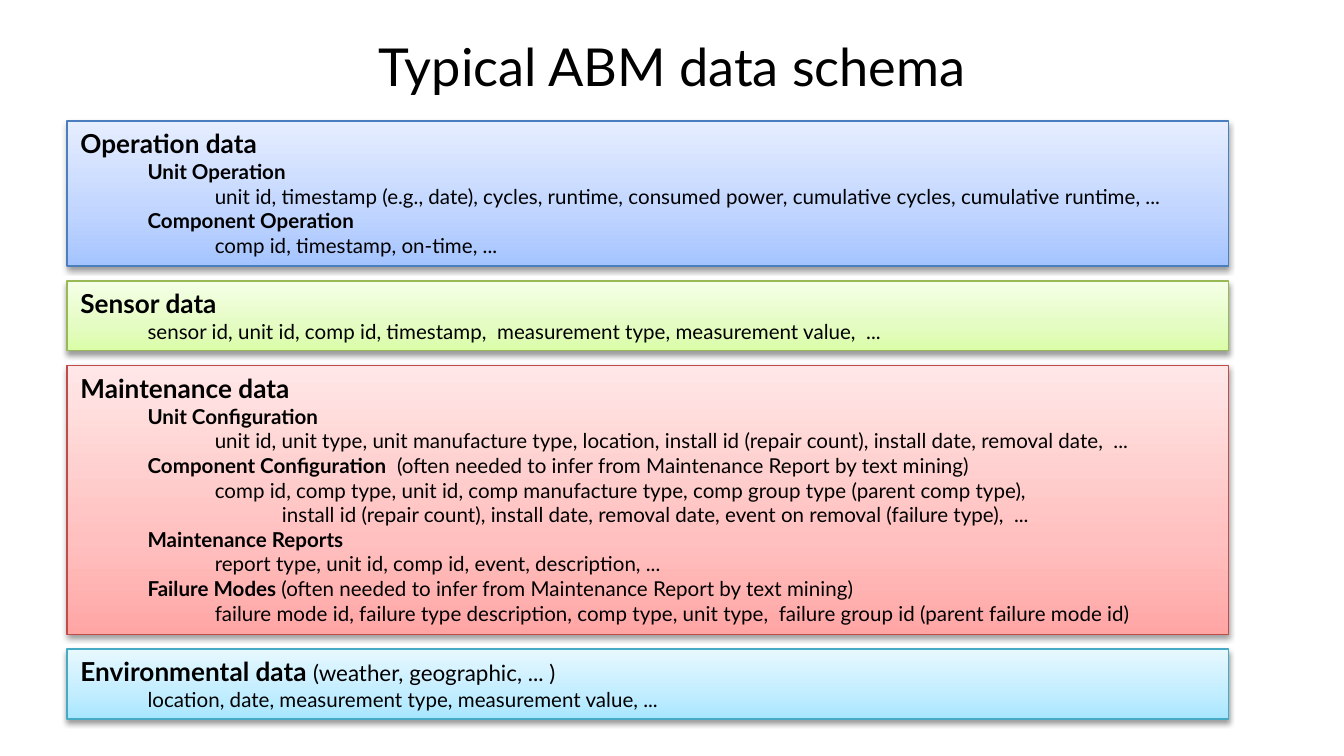
from typing import NamedTuple

from lxml import etree
from pptx import Presentation
from pptx import util as u
from pptx.dml.color import RGBColor
from pptx.enum import shapes, text
from pptx.oxml.ns import qn

FONT = "Lato"
SLIDE_WIDTH = 10
SLIDE_HEIGHT = SLIDE_WIDTH * 9 / 16
LEFT, WIDTH = 0.5, 8.64
INDENT = 0.5  # inches per outline level
STOPS = (0, 35, 100)  # gradient positions, percent


class Run(NamedTuple):
    words: str
    bold: bool = False
    size: float = 11


class Line(NamedTuple):
    level: int
    runs: tuple[Run, ...]


class Panel(NamedTuple):
    top: float
    height: float
    border: str
    gradient: tuple[str, str, str]
    lines: tuple[Line, ...]


def color(value: str) -> RGBColor:
    return RGBColor.from_string(value)


def heading(words: str, note: str = "") -> Line:
    runs = (Run(words, True, 14),)
    return Line(0, runs + (Run(note, size=12),) if note else runs)


def group(words: str, note: str = "") -> Line:
    runs = (Run(words, True),)
    return Line(1, runs + (Run(note),) if note else runs)


def fields(words: str, level: int = 2) -> Line:
    return Line(level, (Run(words),))


MINING = "(often needed to infer from Maintenance Report by text mining)"

PANELS = (
    Panel(0.9, 1.08, "4B7EBC", ("A4C4FF", "BFD4FF", "E6EEFF"), (
        heading("Operation data"),
        group("Unit Operation"),
        fields("unit id, timestamp (e.g., date), cycles, runtime, consumed power, "
               "cumulative cycles, cumulative runtime, ..."),
        group("Component Operation"),
        fields("comp id, timestamp, on-time, ..."),
    )),
    Panel(2.09, 0.52, "98B955", ("DAFDA7", "E4FCC2", "F5FFE7"), (
        heading("Sensor data"),
        fields("sensor id, unit id, comp id, timestamp,  measurement type, "
               "measurement value,  ...", level=1),
    )),
    Panel(2.72, 2, "BF4C48", ("FFA6A5", "FFC0BF", "FFE7E7"), (
        heading("Maintenance data"),
        group("Unit Configuration"),
        fields("unit id, unit type, unit manufacture type, location, "
               "install id (repair count), install date, removal date,  ..."),
        group("Component Configuration", "  " + MINING),
        fields("comp id, comp type, unit id, comp manufacture type, "
               "comp group type (parent comp type),"),
        fields("install id (repair count), install date, removal date, "
               "event on removal (failure type),  ...", level=3),
        group("Maintenance Reports"),
        fields("report type, unit id, comp id, event, description, ..."),
        group("Failure Modes ", MINING),
        fields("failure mode id, failure type description, comp type, unit type,  "
               "failure group id (parent failure mode id)"),
    )),
    Panel(4.83, 0.52, "46AAC5", ("A7E6FF", "C1EDFF", "E7F8FF"), (
        heading("Environmental data ", "(weather, geographic, ... )"),
        fields("location, date, measurement type, measurement value, ...", level=1),
    )),
)


def add_text(paragraph, words: str, *, size: float, bold: bool = False,
             fill: str = "000000") -> None:
    run = paragraph.add_run()
    run.text = words
    run.font.name = FONT
    run.font.size = u.Pt(size)
    run.font.bold = bold
    run.font.color.rgb = color(fill)


def add_color_element(parent, tag: str, value: str, **attributes: str):
    """Append a DrawingML element that holds one RGB colour."""
    element = etree.SubElement(parent, qn(tag), attributes)
    return etree.SubElement(element, qn("a:srgbClr"), val=value)


def set_gradient(shape, tones: tuple[str, str, str]) -> None:
    shape.fill.gradient()
    shape.fill.gradient_angle = 90
    stops = shape._element.spPr.find(".//" + qn("a:gsLst"))
    for stop in list(stops):
        stops.remove(stop)
    for position, tone in zip(STOPS, tones):
        add_color_element(stops, "a:gs", tone, pos=str(position * 1000))


def set_shadow(shape) -> None:
    shape.shadow.inherit = False
    effects = shape._element.spPr.find(qn("a:effectLst"))
    tone = add_color_element(effects, "a:outerShdw", "000000",
                             blurRad=str(u.Pt(3.1)), dist=str(u.Pt(1.6)),
                             dir="5400000", rotWithShape="0")
    etree.SubElement(tone, qn("a:alpha"), val="38000")


def add_panel(slide, panel: Panel) -> None:
    box = slide.shapes.add_shape(
        shapes.MSO_SHAPE.RECTANGLE, u.Inches(LEFT), u.Inches(panel.top),
        u.Inches(WIDTH), u.Inches(panel.height))
    set_gradient(box, panel.gradient)
    box.line.color.rgb = color(panel.border)
    box.line.width = u.Pt(0.75)
    set_shadow(box)

    frame = box.text_frame
    frame.word_wrap = True
    frame.auto_size = text.MSO_AUTO_SIZE.SHAPE_TO_FIT_TEXT
    frame.vertical_anchor = text.MSO_ANCHOR.TOP
    for index, line in enumerate(panel.lines):
        paragraph = frame.add_paragraph() if index else frame.paragraphs[0]
        paragraph.alignment = text.PP_ALIGN.LEFT
        paragraph.level = line.level
        properties = paragraph._p.get_or_add_pPr()
        properties.set("marL", str(u.Inches(INDENT * line.level)))
        properties.set("indent", "0")
        for run in line.runs:
            add_text(paragraph, run.words, size=run.size, bold=run.bold)


def main() -> None:
    deck = Presentation()
    deck.slide_width = u.Inches(SLIDE_WIDTH)
    deck.slide_height = u.Inches(SLIDE_HEIGHT)
    slide = deck.slides.add_slide(deck.slide_layouts.get_by_name("Title Only"))

    # Title
    title = slide.shapes.title
    title.left, title.top = u.Inches(0.5), u.Inches(0.02)
    title.width, title.height = u.Inches(9), u.Inches(0.94)
    title.text_frame.vertical_anchor = text.MSO_ANCHOR.MIDDLE
    heading_line = title.text_frame.paragraphs[0]
    heading_line.alignment = text.PP_ALIGN.CENTER
    add_text(heading_line, "Typical ABM data schema", size=28)

    # Schema panels
    for panel in PANELS:
        add_panel(slide, panel)

    deck.save("out.pptx")


if __name__ == "__main__":
    main()
